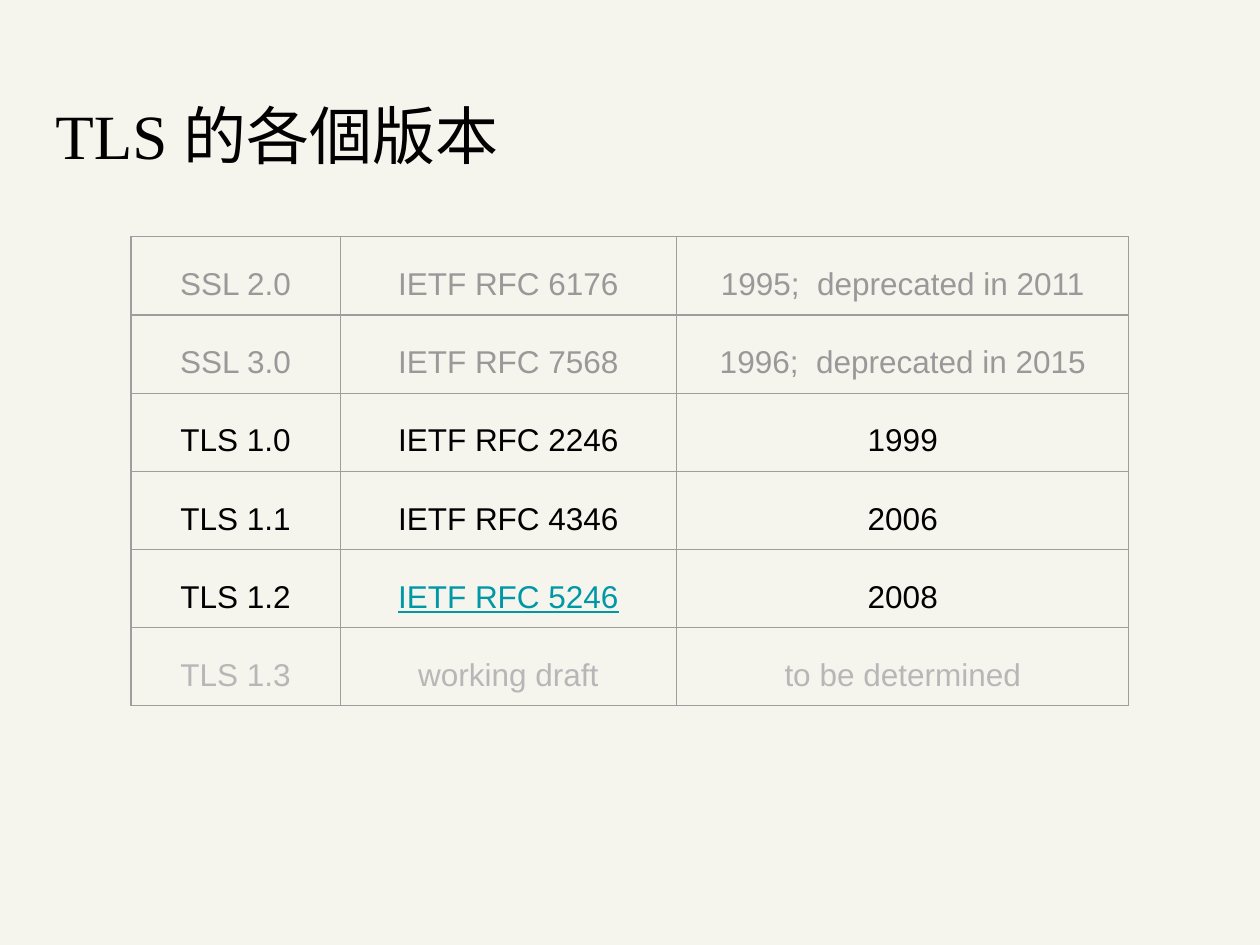
from lxml import etree
from pptx import Presentation
from pptx.dml.color import RGBColor
from pptx.enum import text
from pptx.oxml.ns import qn
from pptx.util import Inches, Pt

THEME = {
    "background": "F5F5EE", "ink": "000000", "deprecated": "999999",
    "draft": "B7B7B7", "link": "0097A7", "border": "9E9E9E",
    "title_font": "Times New Roman", "title_size": 36,
    "body_font": "Arial", "body_size": 18, "border_width": 0.75,
}
VERSIONS = [
    ("deprecated", "SSL 2.0", "IETF RFC 6176", "1995;  deprecated in 2011"),
    ("deprecated", "SSL 3.0", "IETF RFC 7568", "1996;  deprecated in 2015"),
    ("ink", "TLS 1.0", "IETF RFC 2246", "1999"),
    ("ink", "TLS 1.1", "IETF RFC 4346", "2006"),
    ("ink", "TLS 1.2", "IETF RFC 5246", "2008"),
    ("draft", "TLS 1.3", "working draft", "to be determined"),
]
LINKED = "IETF RFC 5246"
COLUMNS = [1.66, 2.67, 3.59]
ROW = 0.62


def style_font(font, kind, color):
    font.name = THEME[f"{kind}_font"]
    font.size = Pt(THEME[f"{kind}_size"])
    font.color.rgb = RGBColor.from_string(THEME[color])


def add_borders(cell):
    props = cell._tc.get_or_add_tcPr()
    for position, side in enumerate(("a:lnL", "a:lnR", "a:lnT", "a:lnB")):
        line = etree.Element(qn(side), w=str(Pt(THEME["border_width"])))
        fill = etree.SubElement(line, qn("a:solidFill"))
        etree.SubElement(fill, qn("a:srgbClr"), val=THEME["border"])
        props.insert(position, line)


# Slide and background
deck = Presentation()
deck.slide_width, deck.slide_height = Inches(10), Inches(7.5)
slide = deck.slides.add_slide(deck.slide_layouts[5])
slide.background.fill.solid()
slide.background.fill.fore_color.rgb = RGBColor.from_string(THEME["background"])

# Title
title = slide.shapes.title
title_box = {"left": 0.34, "top": 0.65, "width": 9.32, "height": 0.83}
for name, value in title_box.items():
    setattr(title, name, Inches(value))
heading = title.text_frame
heading.text = "TLS 的各個版本"
heading_format = {
    "auto_size": text.MSO_AUTO_SIZE.NONE,
    "vertical_anchor": text.MSO_ANCHOR.MIDDLE,
    **{f"margin_{side}": Inches(0.1) for side in ("left", "right", "top", "bottom")},
}
for name, value in heading_format.items():
    setattr(heading, name, value)
heading.paragraphs[0].alignment = text.PP_ALIGN.LEFT
style_font(heading.paragraphs[0].runs[0].font, "title", "ink")

# Version table
versions = slide.shapes.add_table(
    len(VERSIONS), len(COLUMNS), Inches(1.04), Inches(1.88),
    Inches(sum(COLUMNS)), Inches(ROW * len(VERSIONS))).table
versions.first_row = versions.horz_banding = False
for column, width in zip(versions.columns, COLUMNS):
    column.width = Inches(width)

cell_format = {
    "vertical_anchor": text.MSO_ANCHOR.MIDDLE,
    **{f"margin_{side}": Inches(0.1) for side in ("left", "right", "top", "bottom")},
}
entry_format = {"alignment": text.PP_ALIGN.CENTER, "line_spacing": 1.5,
                "space_before": Pt(10)}
for row, (status, *entries) in zip(versions.rows, VERSIONS):
    row.height = Inches(ROW)
    for cell, wording in zip(row.cells, entries):
        cell.text = wording
        cell.fill.background()
        add_borders(cell)
        for name, value in cell_format.items():
            setattr(cell, name, value)
        entry = cell.text_frame.paragraphs[0]
        for name, value in entry_format.items():
            setattr(entry, name, value)
        font = entry.runs[0].font
        style_font(font, "body", "link" if wording == LINKED else status)
        font.underline = wording == LINKED

deck.save("out.pptx")
